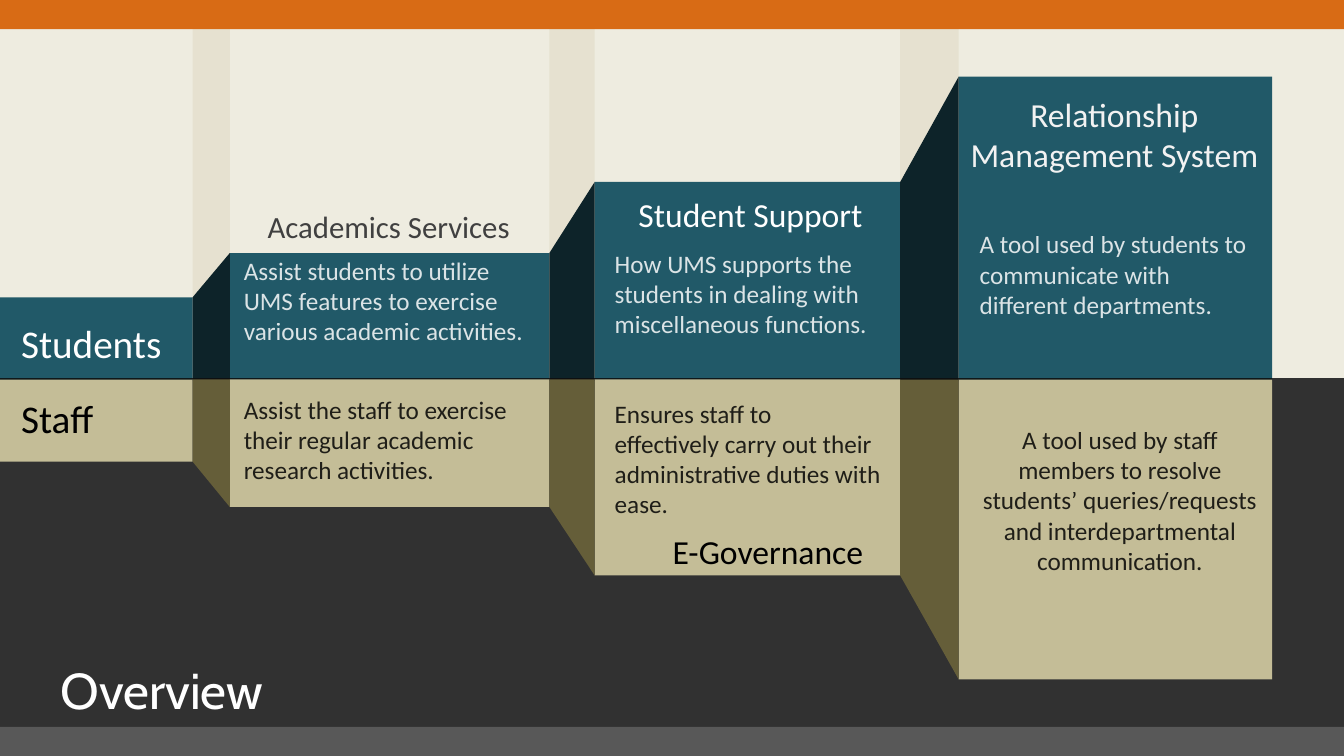
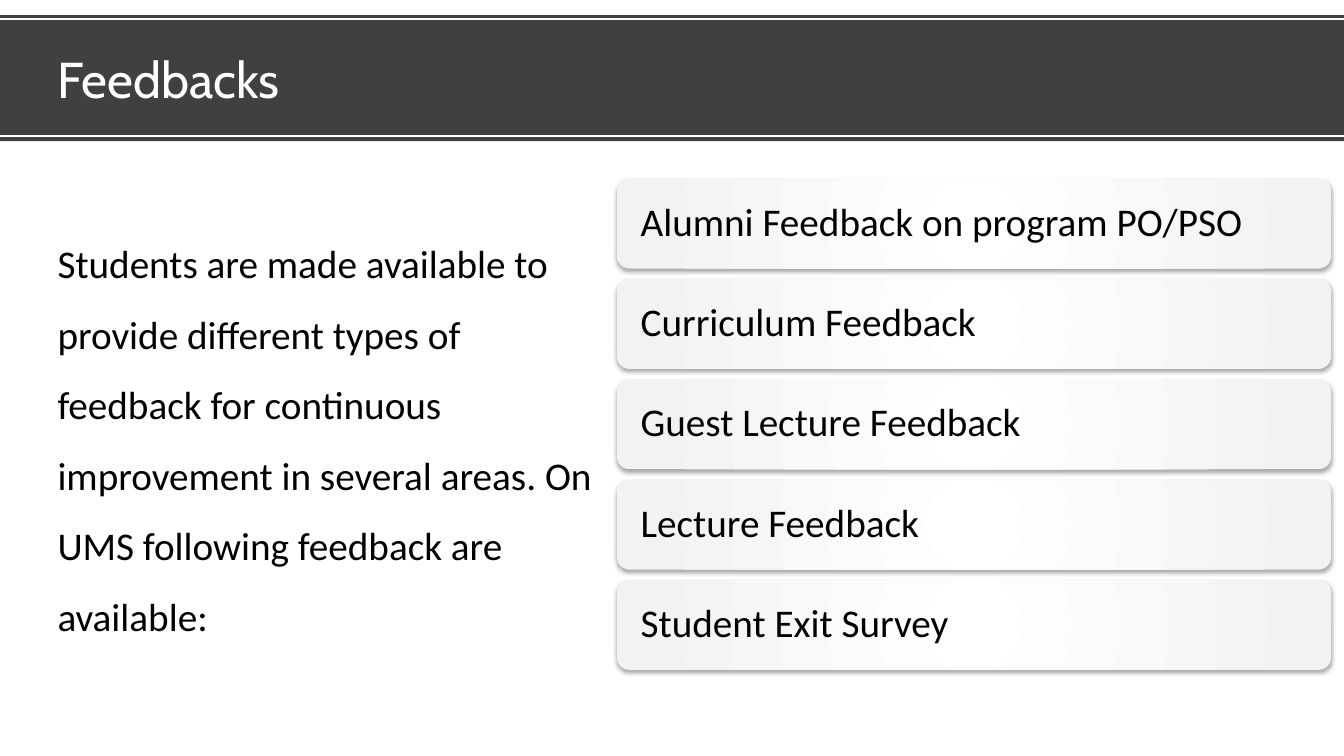
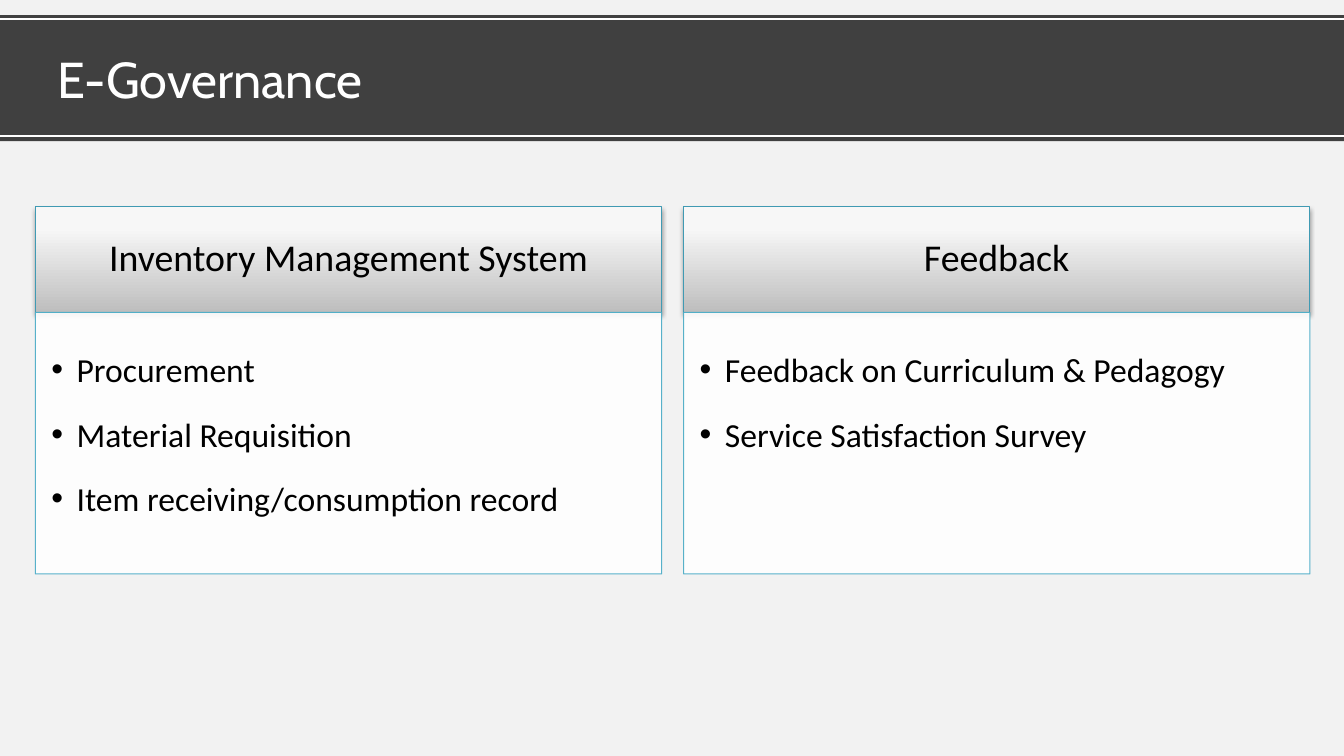
from dataclasses import dataclass
from itertools import pairwise

from lxml import etree
from pptx import Presentation
from pptx import util as u
from pptx.dml.color import RGBColor
from pptx.enum import shapes, text
from pptx.oxml import parse_xml
from pptx.oxml.ns import nsdecls, qn

WIDTH, HEIGHT = u.Inches(13.33), u.Inches(7.5)
LEFT, CENTER, RIGHT = text.PP_ALIGN.LEFT, text.PP_ALIGN.CENTER, text.PP_ALIGN.RIGHT
TOP, MIDDLE = text.MSO_ANCHOR.TOP, text.MSO_ANCHOR.MIDDLE


@dataclass(frozen=True)
class Theme:
    heading: str = "Cabin"
    body: str = "Calibri"
    title_size: int = 36
    large: int = 28
    panel_head: int = 27
    medium: int = 24
    label: int = 22
    small: int = 18
    white: str = "FFFFFF"
    black: str = "000000"
    pale: str = "F2F2F2"
    charcoal: str = "404040"
    night: str = "0D0D0D"
    cream: str = "EEECE0"
    strip: str = "E0DAC4"
    teal: str = "215968"
    teal_fold: str = "0D2329"
    tan: str = "C4BD97"
    tan_fold: str = "655E39"
    orange: str = "D86B15"
    footer: str = "585858"
    head_line: str = "409AB3"
    list_line: str = "46AAC5"
    head_stops: tuple = ((0, "BEBEBE"), (80, "F7F7F7"), (100, "F8F8F8"))
    card_stops: tuple = ((0, "FFFFFF"), (95, "F2F2F2"))


THEME = Theme()


@dataclass(frozen=True)
class Step:
    left: float
    right: float
    top: float
    bottom: float


STEPS = (
    Step(0, 14.33, 39.33, 61.07),
    Step(17.1, 40.88, 33.47, 67.07),
    Step(44.25, 66.98, 24.07, 76.13),
    Step(71.33, 94.65, 10.13, 89.87),
)


def across(share):
    return round(WIDTH * share / 100)


def down(share):
    return round(HEIGHT * share / 100)


def frame(left, top, width, height):
    return across(left), down(top), across(width), down(height)


def fade(element, opacity):
    color = next(element.iter(qn("a:srgbClr")))
    etree.SubElement(color, qn("a:alpha")).set("val", str(opacity * 1000))


def paint(shape, color, opacity=100):
    shape.shadow.inherit = False
    shape.fill.solid()
    shape.fill.fore_color.rgb = RGBColor.from_string(color)
    shape.line.fill.background()
    if opacity < 100:
        fade(shape._element.spPr, opacity)


def paint_gradient(shape, stops, direction):
    shape.fill.gradient()
    properties = shape._element.spPr
    marks = "".join(
        f'<a:gs pos="{pos * 1000}"><a:srgbClr val="{color}"/></a:gs>' for pos, color in stops
    )
    gradient = parse_xml(
        f'<a:gradFill {nsdecls("a")} rotWithShape="1"><a:gsLst>{marks}</a:gsLst>{direction}</a:gradFill>'
    )
    properties.replace(properties.find(qn("a:gradFill")), gradient)


def outline(shape, color, opacity=100):
    shape.line.color.rgb = RGBColor.from_string(color)
    shape.line.width = u.Pt(0.75)
    if opacity < 100:
        fade(shape._element.spPr.find(qn("a:ln")), opacity)


def cast_shadow(shape):
    shape.shadow.inherit = False
    effects = shape._element.spPr.find(qn("a:effectLst"))
    effects.append(parse_xml(
        f'<a:outerShdw {nsdecls("a")} blurRad="40000" dist="23000" dir="5400000" rotWithShape="0">'
        '<a:srgbClr val="000000"><a:alpha val="35000"/></a:srgbClr></a:outerShdw>'
    ))


def block(slide, box, color, opacity=100):
    rectangle = slide.shapes.add_shape(shapes.MSO_SHAPE.RECTANGLE, *frame(*box))
    paint(rectangle, color, opacity)


def fold(slide, points, color):
    corners = [(across(x), down(y)) for x, y in points]
    builder = slide.shapes.build_freeform(*corners[0])
    builder.add_line_segments(corners[1:], close=True)
    paint(builder.convert_to_shape(), color)


def write(holder, lines, size, color, font=THEME.body, align=LEFT, anchor=TOP,
          opacity=100, spacing=1, after=0, insets=(0.1, 0.05, 0.1, 0.05), bullet=False):
    body = holder.text_frame
    body.word_wrap = True
    body.auto_size = text.MSO_AUTO_SIZE.NONE
    body.vertical_anchor = anchor
    body.margin_left, body.margin_top, body.margin_right, body.margin_bottom = map(u.Inches, insets)
    hang = u.Inches(0.25) if bullet else 0
    for index, line in enumerate(lines):
        paragraph = body.add_paragraph() if index else body.paragraphs[0]
        properties = paragraph._p.get_or_add_pPr()
        properties.set("marL", str(hang))
        properties.set("indent", str(-hang))
        if bullet:
            etree.SubElement(properties, qn("a:buChar")).set("char", "•")
        else:
            etree.SubElement(properties, qn("a:buNone"))
        paragraph.alignment = align
        paragraph.line_spacing = spacing
        paragraph.space_before = u.Pt(0)
        paragraph.space_after = u.Pt(after)
        run = paragraph.add_run()
        run.text = line
        run.font.name = font
        run.font.size = u.Pt(size)
        run.font.bold = False
        run.font.color.rgb = RGBColor.from_string(color)
        if opacity < 100:
            fade(run._r.rPr, opacity)


def move(holder, box):
    holder.left, holder.top, holder.width, holder.height = frame(*box)


def caption(slide, box, words, size, color, **style):
    write(slide.shapes.add_textbox(*frame(*box)), [words], size, color, **style)


def set_title(slide, words, box):
    title = slide.shapes.title
    move(title, box)
    slide.shapes._spTree.append(title._element)
    write(title, [words], THEME.title_size, THEME.white, font=THEME.heading, anchor=MIDDLE)


def header(slide, words):
    block(slide, (0, 2, 100, 16.67), THEME.charcoal)
    for height in (2.53, 18):
        rule = slide.shapes.add_connector(
            shapes.MSO_CONNECTOR.STRAIGHT, 0, down(height), WIDTH, down(height))
        rule.line.color.rgb = RGBColor.from_string(THEME.white)
        rule.line.width = u.Pt(1.25)
        etree.SubElement(rule._element.spPr, qn("a:effectLst"))
    set_title(slide, words, (3.53, 2, 90, 16.67))


def staircase(slide, edge, level, face, side):
    for step in STEPS:
        top, bottom = sorted((getattr(step, edge), level))
        block(slide, (step.left, top, step.right - step.left, bottom - top), face)
    for near, far in pairwise(STEPS):
        fold(slide, ((near.right, getattr(near, edge)), (far.left, getattr(far, edge)),
                     (far.left, level), (near.right, level)), side)


def card(slide, box, words):
    shape = slide.shapes.add_shape(shapes.MSO_SHAPE.ROUNDED_RECTANGLE, *frame(*box))
    shape.adjustments[0] = 0.14
    shape.line.fill.background()
    paint_gradient(shape, THEME.card_stops,
                   '<a:path path="circle"><a:fillToRect l="50000" t="50000" r="50000" b="50000"/></a:path>')
    cast_shadow(shape)
    write(shape, [words], THEME.large, THEME.black, anchor=MIDDLE, spacing=0.9,
          insets=(0.2, 0.03, 0.2, 0.03))


def panel(head, items, left, heading, entries):
    width, top, head_height = 46.6, 27.33, 14
    move(head, (left, top, width, head_height))
    paint_gradient(head, THEME.head_stops, '<a:lin ang="16200000" scaled="0"/>')
    outline(head, THEME.head_line)
    cast_shadow(head)
    write(head, [heading], THEME.panel_head, THEME.black, align=CENTER, anchor=MIDDLE,
          spacing=0.9, insets=(0.21, 0.12, 0.21, 0.12))
    move(items, (left, top + head_height, width, 34.6))
    paint(items, THEME.white, 90)
    outline(items, THEME.list_line, 90)
    write(items, entries, THEME.medium, THEME.black, spacing=1.5, after=3,
          insets=(0.16, 0.16, 0.21, 0.24), bullet=True)


def overview(deck):
    slide = deck.slides.add_slide(deck.slide_layouts[5])
    block(slide, (0, 3.87, 100, 46.13), THEME.cream)
    for near, far in pairwise(STEPS):
        block(slide, (near.right, 0, far.left - near.right, 50), THEME.strip, 56)
    staircase(slide, "top", 50.4, THEME.teal, THEME.teal_fold)
    block(slide, (0, 50, 100, 50), THEME.night, 85)
    staircase(slide, "bottom", 50.2, THEME.tan, THEME.tan_fold)
    block(slide, (0, 0, 100, 3.87), THEME.orange)
    set_title(slide, "Overview", (3.75, 85.33, 46.2, 11.6))
    block(slide, (0, 96.13, 100, 3.87), THEME.footer)

    headings = (
        ((0.83, 41.6, 13.8, 7.6), "Students", THEME.large, THEME.white, LEFT),
        ((0.83, 51.47, 13.6, 7.6), "Staff", THEME.large, THEME.black, LEFT),
        ((16.88, 26.8, 24.08, 6.27), "Academics Services", THEME.label, THEME.charcoal, CENTER),
        ((44.55, 24.93, 22.58, 6.67), "Student Support", THEME.medium, THEME.white, CENTER),
        ((45.53, 69.6, 19.43, 6.67), "E-Governance", THEME.medium, THEME.black, RIGHT),
        ((71.25, 11.73, 23.33, 17.47), "Relationship Management System",
         THEME.medium, THEME.pale, CENTER),
    )
    for box, words, size, color, align in headings:
        caption(slide, box, words, size, color, align=align)

    details = (
        ((17.4, 33.07, 23.78, 17.47), THEME.white, LEFT,
         "Assist students to utilize UMS features to exercise various academic activities."),
        ((45, 32.13, 20.63, 17.47), THEME.white, LEFT,
         "How UMS supports the students in dealing with miscellaneous functions."),
        ((72.15, 29.6, 21.83, 13.47), THEME.white, LEFT,
         "A tool used by students to communicate with different departments."),
        ((17.4, 51.47, 24.08, 13.47), THEME.black, LEFT,
         "Assist the staff to exercise their regular academic research activities."),
        ((45, 52, 21.3, 17.47), THEME.black, LEFT,
         "Ensures staff to effectively carry out their administrative duties with ease."),
        ((72.08, 55.47, 22.5, 25.6), THEME.black, CENTER,
         "A tool used by staff members to resolve students’ queries/requests "
         "and interdepartmental communication."),
    )
    for box, color, align, words in details:
        caption(slide, box, words, THEME.small, color, align=align, opacity=84)


def feedbacks(deck):
    slide = deck.slides.add_slide(deck.slide_layouts[1])
    header(slide, "Feedbacks")
    introduction = slide.placeholders[1]
    move(introduction, (3.53, 27.87, 41.93, 56.67))
    write(introduction, [
        "Students are made available to provide different types of feedback for continuous "
        "improvement in several areas. On UMS following feedback are available:"
    ], THEME.large, THEME.black, spacing=1.5)
    surveys = ("Alumni Feedback on program PO/PSO", "Curriculum Feedback",
               "Guest Lecture Feedback", "Lecture Feedback", "Student Exit Survey")
    for row, survey in enumerate(surveys):
        card(slide, (45.9, 23.6 + row * 13.27, 53.15, 11.93), survey)


def governance(deck):
    slide = deck.slides.add_slide(deck.slide_layouts[4])
    slide.background.fill.solid()
    slide.background.fill.fore_color.rgb = RGBColor.from_string(THEME.pale)
    header(slide, "E-Governance")
    panels = (
        ("Inventory Management System",
         ("Procurement", "Material Requisition", "Item receiving/consumption record")),
        ("Feedback", ("Feedback on Curriculum & Pedagogy", "Service Satisfaction Survey")),
    )
    for column, (heading, entries) in enumerate(panels):
        head, items = (slide.placeholders[1 + 2 * column + part] for part in range(2))
        panel(head, items, 2.63 + column * 48.23, heading, entries)


def main():
    deck = Presentation()
    deck.slide_width, deck.slide_height = WIDTH, HEIGHT
    overview(deck)
    feedbacks(deck)
    governance(deck)
    deck.save("out.pptx")


if __name__ == "__main__":
    main()
